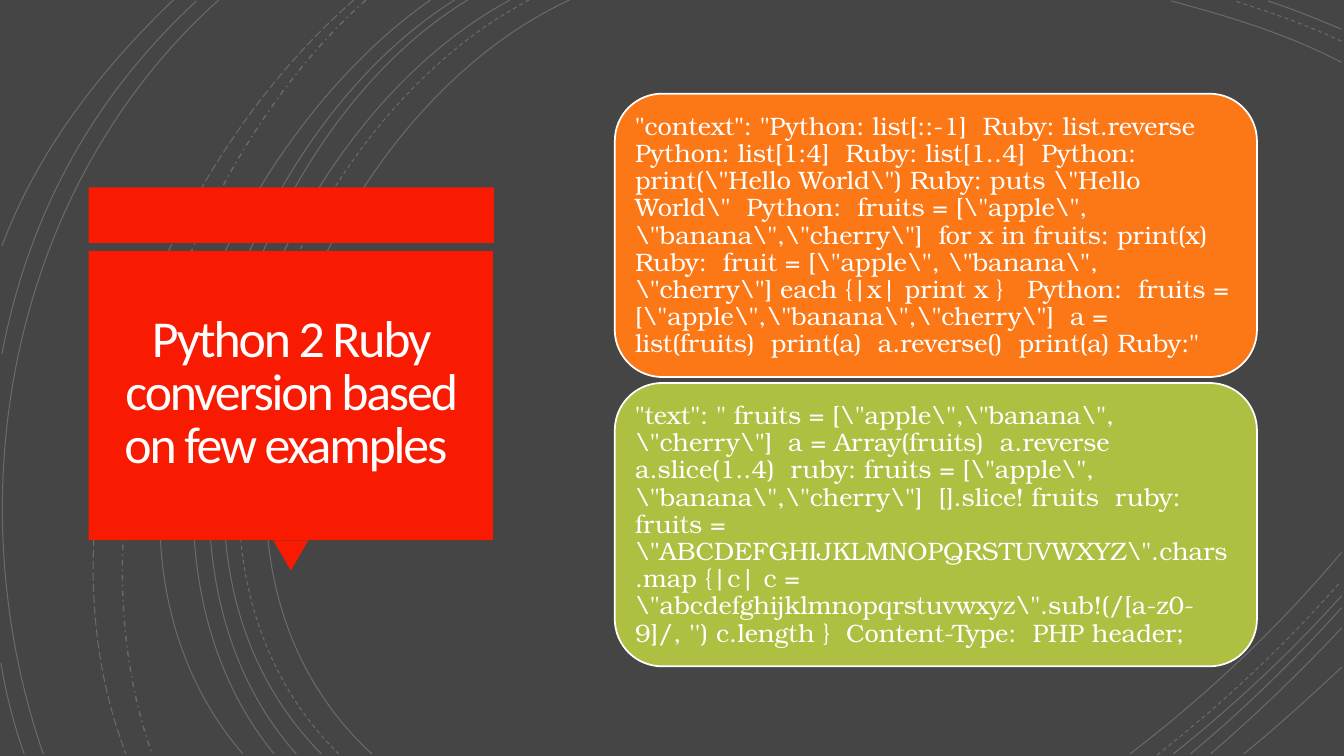
from dataclasses import dataclass

import pptx
import pptx.dml.color
import pptx.enum.dml
import pptx.enum.shapes
import pptx.enum.text
import pptx.oxml
import pptx.oxml.ns
import pptx.slide
import pptx.util

Inches = pptx.util.Inches
Dash = pptx.enum.dml.MSO_LINE
Preset = pptx.enum.shapes.MSO_SHAPE
Align = pptx.enum.text.PP_ALIGN
Point = tuple[float, float]


@dataclass(frozen=True)
class Theme:
    background: str = "454545"
    accent: str = "F81B02"
    prompt: str = "FC7715"
    answer: str = "AFBF41"
    white: str = "FFFFFF"
    title_text: str = "FFFEFF"
    title_font: str = "Calibri"
    body_font: str = "TeX Gyre Bonum"
    title_size: float = 37
    body_size: float = 18
    title_tracking: float = -1.5
    arc_opacity: int = 20


@dataclass(frozen=True)
class Arc:
    """A cubic curve from start to end, shaped by two control points."""
    start: Point
    pull_start: Point
    pull_end: Point
    end: Point
    dash: Dash = Dash.SOLID
    weight: float = 0.75


@dataclass(frozen=True)
class Box:
    left: float
    top: float
    width: float
    height: float

    def lengths(self) -> list[pptx.util.Length]:
        return [Inches(n) for n in (self.left, self.top, self.width, self.height)]


@dataclass(frozen=True)
class Panel:
    preset: Preset
    box: Box
    fill: str
    outlined: bool = False
    rotation: float = 0


@dataclass(frozen=True)
class Label:
    text: str
    box: Box
    font: str
    size: float
    color: str
    align: Align
    line_spacing: float
    inset: float
    tracking: float = 0


THEME = Theme()

ARCS = [
    Arc((5.65, 0), (3.15, 1.15), (1.43, 5.4), (3.69, 7.48)),
    Arc((13.31, 0.62), (12.78, 0.34), (12.18, 0.16), (11.62, 0.01)),
    Arc((11.21, 7.48), (11.97, 6.9), (12.69, 6.22), (13.31, 5.48)),
    Arc((5.25, 0), (2.85, 1.25), (1.23, 5.37), (3.36, 7.48), Dash.DASH),
    Arc((13.31, 0.41), (12.97, 0.25), (12.6, 0.12), (12.25, 0.01), Dash.DASH),
    Arc((11.48, 7.49), (12.13, 6.98), (12.75, 6.4), (13.3, 5.77), Dash.DASH),
    Arc((5.06, 0), (2.7, 1.27), (1.1, 5.37), (3.19, 7.48)),
    Arc((13.31, 0.29), (13.07, 0.19), (12.83, 0.09), (12.58, 0.01)),
    Arc((11.64, 7.48), (12.23, 7.01), (12.8, 6.48), (13.31, 5.91)),
    Arc((4.64, 0), (2.44, 1.33), (1.1, 5.41), (2.94, 7.48)),
    Arc((11.81, 7.48), (12.34, 7.04), (12.84, 6.55), (13.31, 6.03)),
    Arc((4.51, 0), (2.31, 1.38), (0.97, 5.33), (2.72, 7.48)),
    Arc((12.01, 7.48), (12.46, 7.09), (12.9, 6.67), (13.31, 6.23)),
    Arc((4.27, 0), (2.17, 1.47), (0.53, 5.29), (2.41, 7.48)),
    Arc((12.34, 7.48), (12.67, 7.21), (12.99, 6.92), (13.31, 6.62)),
    Arc((3.63, 0), (1.76, 1.66), (0.65, 5.09), (1.51, 7.48), Dash.DASH_DOT, 1),
    Arc((3.51, 0), (1.57, 1.69), (0.29, 4.99), (1.25, 7.48), Dash.LONG_DASH),
    Arc((2.17, 0), (0.11, 1.85), (-0.46, 4.9), (0.43, 7.48)),
    Arc((1.95, 0.01), (0.92, 0.96), (0.28, 2.14), (0.02, 3.51)),
    Arc((0.01, 6.58), (0.06, 6.89), (0.14, 7.19), (0.24, 7.48)),
    Arc((1.72, 0), (1, 0.69), (0.37, 1.5), (0.02, 2.44)),
]

TITLE = "Python 2 Ruby conversion based on few examples "

PROMPT = (
    r'"context": "Python: list[::-1]  Ruby: list.reverse  '
    r'Python: list[1:4]  Ruby: list[1..4]  '
    r'Python: print(\"Hello World\") Ruby: puts \"Hello World\"  '
    r'Python:  fruits = [\"apple\",\"banana\",\"cherry\"]  for x in fruits: print(x) '
    r'Ruby:  fruit = [\"apple\", \"banana\", \"cherry\"] each {|x| print x }   '
    r'Python:  fruits = [\"apple\",\"banana\",\"cherry\"]  '
    r'a = list(fruits)  print(a)  a.reverse()  print(a) Ruby:" '
)

ANSWER = (
    r'"text": " fruits = [\"apple\",\"banana\",\"cherry\"]  '
    r'a = Array(fruits)  a.reverse  a.slice(1..4)  '
    r'ruby: fruits = [\"apple\",\"banana\",\"cherry\"]  [].slice! fruits  '
    r'ruby: fruits = \"ABCDEFGHIJKLMNOPQRSTUVWXYZ\".chars.map {|c| '
    r'''c = \"abcdefghijklmnopqrstuvwxyz\".sub!(/[a-z0-9]/, '') c.length }  '''
    r'Content-Type:  PHP header;'
)


def rgb(color: str) -> pptx.dml.color.RGBColor:
    return pptx.dml.color.RGBColor.from_string(color)


def draw_arc(slide: pptx.slide.Slide, arc: Arc) -> None:
    """Draw the control polygon, then merge its three segments into one curve."""
    first, *rest = [(Inches(x), Inches(y))
                    for x, y in (arc.start, arc.pull_start, arc.pull_end, arc.end)]
    builder = slide.shapes.build_freeform(*first)
    builder.add_line_segments(rest, close=False)
    curve = builder.convert_to_shape()
    segments = list(curve._element.iter(pptx.oxml.ns.qn("a:lnTo")))
    bezier = pptx.oxml.parse_xml(f'<a:cubicBezTo {pptx.oxml.ns.nsdecls("a")}/>')
    segments[0].addprevious(bezier)
    for segment in segments:
        bezier.append(segment[0])
        segment.getparent().remove(segment)

    curve.shadow.inherit = False
    curve.fill.background()
    curve.line.width = pptx.util.Pt(arc.weight)
    curve.line.color.rgb = rgb(THEME.white)
    curve.line.dash_style = arc.dash
    stroke = next(curve.line._ln.iter(pptx.oxml.ns.qn("a:srgbClr")))
    stroke.append(pptx.oxml.parse_xml(
        f'<a:alpha {pptx.oxml.ns.nsdecls("a")} val="{THEME.arc_opacity * 1000}"/>'))


def draw_panel(slide: pptx.slide.Slide, panel: Panel) -> None:
    block = slide.shapes.add_shape(panel.preset, *panel.box.lengths())
    block.shadow.inherit = False
    block.rotation = panel.rotation
    block.fill.solid()
    block.fill.fore_color.rgb = rgb(panel.fill)
    if panel.outlined:
        block.line.color.rgb = rgb(THEME.white)
        block.line.width = pptx.util.Pt(1.25)
    else:
        block.line.fill.background()


def write_label(slide: pptx.slide.Slide, label: Label) -> None:
    frame = slide.shapes.add_textbox(*label.box.lengths()).text_frame
    frame.word_wrap = True
    frame.vertical_anchor = pptx.enum.text.MSO_ANCHOR.MIDDLE
    frame.margin_left = frame.margin_right = Inches(label.inset)
    frame.margin_top = frame.margin_bottom = Inches(label.inset)
    paragraph = frame.paragraphs[0]
    paragraph.alignment = label.align
    paragraph.line_spacing = label.line_spacing
    run = paragraph.add_run()
    run.text = label.text
    paragraph.font.name = label.font
    paragraph.font.size = pptx.util.Pt(label.size)
    paragraph.font.color.rgb = rgb(label.color)
    if label.tracking:
        run.font._element.set("spc", str(round(label.tracking * 100)))


def main() -> None:
    deck = pptx.Presentation()
    deck.slide_width, deck.slide_height = Inches(40 / 3), Inches(7.5)
    slide = deck.slides.add_slide(deck.slide_layouts[6])
    slide.background.fill.solid()
    slide.background.fill.fore_color.rgb = rgb(THEME.background)
    for arc in ARCS:
        draw_arc(slide, arc)

    draw_panel(slide, Panel(Preset.RECTANGLE, Box(0.88, 1.86, 4.02, 0.55), THEME.accent))
    draw_panel(slide, Panel(Preset.ISOSCELES_TRIANGLE, Box(2.71, 5.36, 0.35, 0.3),
                            THEME.accent, rotation=180))
    draw_panel(slide, Panel(Preset.RECTANGLE, Box(0.88, 2.49, 4.01, 2.87), THEME.accent))
    write_label(slide, Label(TITLE, Box(0.97, 2.57, 3.83, 2.69), THEME.title_font,
                             THEME.title_size, THEME.title_text, Align.CENTER, 0.85, 0.25,
                             THEME.title_tracking))

    for row, (text, fill) in enumerate([(PROMPT, THEME.prompt), (ANSWER, THEME.answer)]):
        top = 0.93 + 2.87 * row
        draw_panel(slide, Panel(Preset.ROUNDED_RECTANGLE, Box(6.1, top, 6.37, 2.81), fill,
                                outlined=True))
        write_label(slide, Label(text, Box(6.23, top + 0.14, 6.09, 2.54), THEME.body_font,
                                 THEME.body_size, THEME.white, Align.LEFT, 0.9, 0.07))

    deck.save("out.pptx")


if __name__ == "__main__":
    main()
